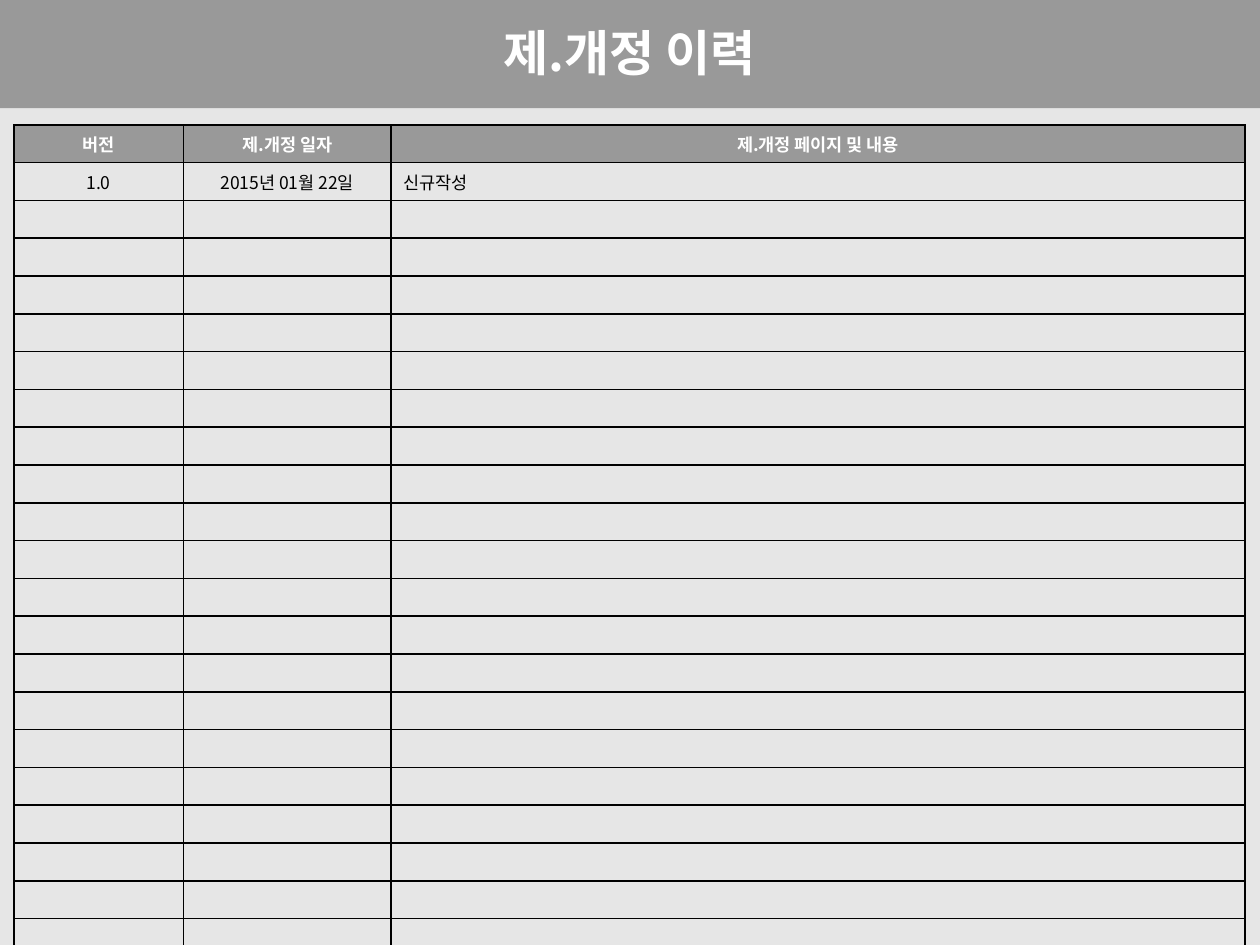
from lxml import etree
from pptx import Presentation, util as u
from pptx.dml.color import RGBColor
from pptx.enum import shapes, text
from pptx.oxml import ns

FONT = "Noto Sans CJK KR"
GRAY, PAPER, WHITE, BLACK = "999999", "E6E6E6", "FFFFFF", "000000"
WIDTH, HEIGHT = u.Inches(10), u.Inches(7.5)
ROW_COUNT, ROW_HEIGHT = 24, u.Inches(0.3)
COLUMN_WIDTHS = (1.345, 1.65, 6.775)
HISTORY = (
    ("버전", "제.개정 일자", "제.개정 페이지 및 내용"),
    ("1.0", "2015년 01월 22일", "신규작성"),
)


def color(hex_code):
    """Turn a hex string into a colour."""
    return RGBColor.from_string(hex_code)


def add_child(parent, tag, **attributes):
    """Append a drawing element with the given attributes."""
    return etree.SubElement(parent, ns.qn(tag), attributes)


def write(paragraph, words, size, hex_code, bold):
    """Add one styled run without kerning to a paragraph."""
    run = paragraph.add_run()
    run.text = words
    run.font.size, run.font.bold, run.font.name = u.Pt(size), bold, FONT
    run.font.color.rgb = color(hex_code)
    run.font._element.set("kern", "0")
    add_child(run.font._element, "a:ea", typeface=FONT)


def set_empty_size(paragraph, size):
    """Give an empty paragraph its font and size."""
    ending = add_child(paragraph._p, "a:endParaRPr", sz=str(size * 100))
    for tag in ("a:latin", "a:ea"):
        add_child(ending, tag, typeface=FONT)


def draw_borders(cell):
    """Rule all four sides of a cell."""
    properties = cell._tc.get_or_add_tcPr()
    for side in "LRTB":
        line = add_child(properties, f"a:ln{side}", w=str(u.Pt(1)))
        add_child(add_child(line, "a:solidFill"), "a:srgbClr", val=BLACK)


def add_header(slide, left, top, width, height):
    """Place the title band and its centred title."""
    band = slide.shapes.add_shape(shapes.MSO_SHAPE.RECTANGLE, left, top, width, height)
    band.shadow.inherit = False
    band.fill.solid()
    band.fill.fore_color.rgb = color(GRAY)
    band.line.fill.background()
    title = slide.shapes.add_textbox(
        left + int(width * 0.197), top + int(height * 0.15),
        int(width * 0.606), int(height * 0.66))
    frame = title.text_frame
    frame.word_wrap = True
    frame.vertical_anchor = text.MSO_ANCHOR.MIDDLE
    frame.paragraphs[0].alignment = text.PP_ALIGN.CENTER
    write(frame.paragraphs[0], "제.개정 이력", 28, WHITE, True)


def fill_cell(cell, words, is_heading, is_centered):
    """Style one history cell and write its words."""
    draw_borders(cell)
    if is_heading:
        cell.fill.solid()
        cell.fill.fore_color.rgb = color(GRAY)
        cell.vertical_anchor = text.MSO_ANCHOR.MIDDLE
    else:
        cell.fill.background()
    paragraph = cell.text_frame.paragraphs[0]
    if is_centered:
        paragraph.alignment = text.PP_ALIGN.CENTER
    if words:
        write(paragraph, words, 10, WHITE if is_heading else BLACK, is_heading)
    else:
        set_empty_size(paragraph, 10)


def add_history(slide, left, top, width):
    """Place the revision history table."""
    history = slide.shapes.add_table(
        ROW_COUNT, len(COLUMN_WIDTHS), left, top, width, ROW_COUNT * ROW_HEIGHT).table
    history.first_row = history.horz_banding = False
    for column, part in zip(history.columns, COLUMN_WIDTHS):
        column.width = int(width * part / sum(COLUMN_WIDTHS))
    for r in range(ROW_COUNT):
        entry = HISTORY[r] if r < len(HISTORY) else ("",) * len(COLUMN_WIDTHS)
        for c, words in enumerate(entry):
            fill_cell(history.cell(r, c), words, r == 0, r == 0 or c < 2)


def main():
    """Build and save the revision history slide."""
    deck = Presentation()
    deck.slide_width, deck.slide_height = WIDTH, HEIGHT
    slide = deck.slides.add_slide(deck.slide_layouts[6])
    slide.background.fill.solid()
    slide.background.fill.fore_color.rgb = color(PAPER)
    add_header(slide, 0, 0, WIDTH, u.Inches(0.86))
    add_history(slide, u.Inches(0.11), u.Inches(0.99), u.Inches(9.77))
    deck.save("out.pptx")


if __name__ == "__main__":
    main()
